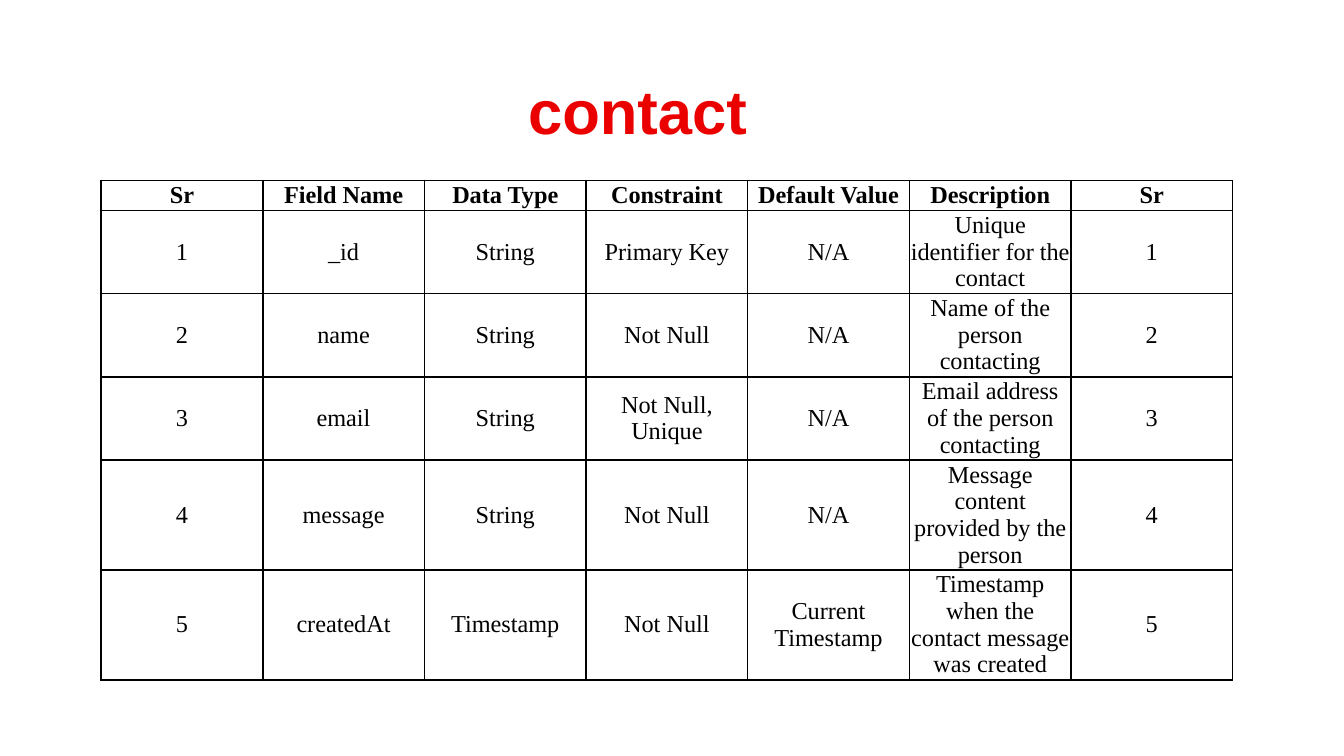
from pptx import Presentation
from pptx.dml.color import RGBColor
from pptx.enum.text import MSO_ANCHOR, PP_ALIGN
from pptx.oxml import parse_xml
from pptx.oxml.ns import nsdecls
from pptx.util import Cm, Pt

# Content
TITLE = "contact"
HEADERS = ["Sr", "Field Name", "Data Type", "Constraint", "Default Value", "Description"]
FIELDS = [
    ("_id", "String", "Primary Key", "N/A", "Unique identifier for the contact"),
    ("name", "String", "Not Null", "N/A", "Name of the person contacting"),
    ("email", "String", "Not Null, Unique", "N/A", "Email address of the person contacting"),
    ("message", "String", "Not Null", "N/A", "Message content provided by the person"),
    ("createdAt", "Timestamp", "Not Null", "Current Timestamp",
     "Timestamp when the contact message was created"),
]
LINES_PER_ROW = [1, 3, 3, 3, 4, 4]

# Style and layout, lengths in cm
COLORS = {"title": "EB0000", "text": "000000", "border": "000000"}
TABLE_LEFT, TABLE_TOP, TABLE_WIDTH = 1.91, 3.41, 21.39
LINE_HEIGHT, CELL_INSET = 0.5, 0.03


def write(frame, text, font_name, size, color, bold):
    """Put one centred run into a text frame."""
    para = frame.paragraphs[0]
    para.alignment = PP_ALIGN.CENTER
    span = para.add_run()
    span.text = text
    span.font.name = font_name
    span.font.size = Pt(size)
    span.font.bold = bold
    span.font.color.rgb = RGBColor.from_string(color)


def add_borders(cell):
    """Draw all four sides; lines come before the fill in the cell XML."""
    properties = cell._tc.get_or_add_tcPr()
    for position, side in enumerate(("lnL", "lnR", "lnT", "lnB")):
        properties.insert(position, parse_xml(
            f'<a:{side} {nsdecls("a")} w="{Pt(1)}"><a:solidFill>'
            f'<a:srgbClr val="{COLORS["border"]}"/></a:solidFill></a:{side}>'))


def add_title(page):
    box = page.shapes.title
    box.left, box.top, box.width, box.height = Cm(9.7), Cm(1.25), Cm(4.7), Cm(1.67)
    box.text_frame.word_wrap = False
    box.text_frame.vertical_anchor = MSO_ANCHOR.MIDDLE
    write(box.text_frame, TITLE, "Arial", 33, COLORS["title"], True)


def add_field_table(page):
    # The serial number closes each row as well as opening it
    rows = [[*HEADERS, HEADERS[0]]]
    rows += [[str(number), *field, str(number)] for number, field in enumerate(FIELDS, 1)]
    heights = [lines * LINE_HEIGHT + 2 * CELL_INSET for lines in LINES_PER_ROW]
    table = page.shapes.add_table(
        len(rows), len(rows[0]), Cm(TABLE_LEFT), Cm(TABLE_TOP),
        Cm(TABLE_WIDTH), Cm(sum(heights))).table
    table.horz_banding = False

    for column in table.columns:
        column.width = Cm(TABLE_WIDTH / len(rows[0]))
    for row_index, (texts, height) in enumerate(zip(rows, heights)):
        table.rows[row_index].height = Cm(height)
        for column_index, text in enumerate(texts):
            cell = table.cell(row_index, column_index)
            cell.fill.background()
            cell.vertical_anchor = MSO_ANCHOR.MIDDLE
            cell.margin_left = cell.margin_right = Cm(CELL_INSET)
            cell.margin_top = cell.margin_bottom = Cm(CELL_INSET)
            write(cell.text_frame, text, "Times New Roman", 13, COLORS["text"], row_index == 0)
            add_borders(cell)


def main():
    deck = Presentation()
    deck.slide_width, deck.slide_height = Cm(25.4), Cm(14.29)
    page = deck.slides.add_slide(deck.slide_layouts[5])
    add_title(page)
    add_field_table(page)
    deck.save("out.pptx")


if __name__ == "__main__":
    main()
